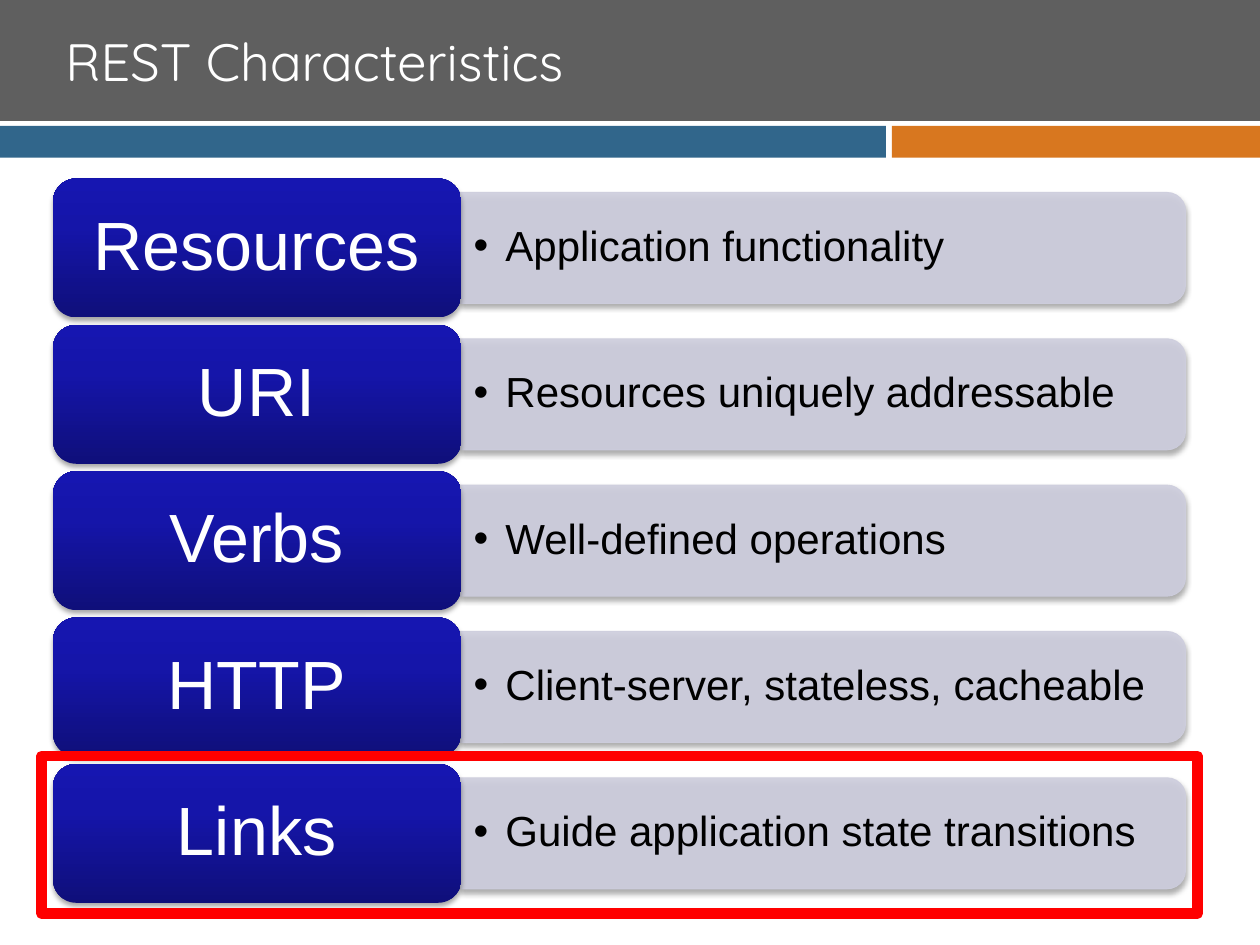
"""Build the slide on the traits of REST."""
from lxml.etree import SubElement
from pptx import Presentation
from pptx.dml.color import RGBColor
from pptx.enum.shapes import MSO_SHAPE
from pptx.enum.text import MSO_ANCHOR, PP_ALIGN
from pptx.oxml import parse_xml
from pptx.oxml.ns import nsdecls, qn
from pptx.util import Cm, Pt

HUES = {
    "head": "5F5F5F", "blue": "31668B", "orange": "D8771F",
    "bar": "CECEDE", "dark": "0F0F7A", "mid": "1515A9", "light": "1616B1",
    "white": "FFFFFF", "black": "000000", "red": "FF0000",
}
ROWS = [
    ("Resources", "Application functionality"),
    ("URI", "Resources uniquely addressable"),
    ("Verbs", "Well-defined operations"),
    ("HTTP", "Client-server, stateless, cacheable"),
    ("Links", "Guide application state transitions"),
]
SHADE = (
    f'<a:outerShdw {nsdecls("a")} blurRad="{Pt(3.1)}" dist="{Pt(2)}" dir="5400000" '
    f'rotWithShape="0"><a:srgbClr val="{HUES["black"]}"><a:alpha val="35000"/>'
    '</a:srgbClr></a:outerShdw>'
)
STOPS = "".join(
    f'<a:gs pos="{spot}000"><a:srgbClr val="{HUES[hue]}"/></a:gs>'
    for spot, hue in [(0, "dark"), (65, "mid"), (100, "light")]
)
BLEND = (
    f'<a:gradFill {nsdecls("a")} rotWithShape="0"><a:gsLst>{STOPS}</a:gsLst>'
    '<a:lin ang="16200000" scaled="0"/></a:gradFill>'
)

deck = Presentation()
deck.slide_width, deck.slide_height = Cm(25.4), Cm(19.05)
slide = deck.slides.add_slide(deck.slide_layouts[6])


def draw(kind, left, top, width, height, hue=None, shade=False):
    shape = slide.shapes.add_shape(kind, Cm(left), Cm(top), Cm(width), Cm(height))
    shape.shadow.inherit = False
    shape.line.fill.background()
    if hue:
        shape.fill.solid()
        shape.fill.fore_color.rgb = RGBColor.from_string(HUES[hue])
    else:
        shape.fill.background()
    if shade:
        shape._element.spPr.find(qn("a:effectLst")).append(parse_xml(SHADE))
    return shape


def write(words, left, top, width, height, size, hue, font="Arial"):
    frame = slide.shapes.add_textbox(Cm(left), Cm(top), Cm(width), Cm(height)).text_frame
    frame.word_wrap = True
    frame.vertical_anchor = MSO_ANCHOR.MIDDLE
    para = frame.paragraphs[0]
    run = para.add_run()
    run.text = words
    run.font.size = Pt(size)
    run.font.name = font
    run.font.color.rgb = RGBColor.from_string(HUES[hue])
    return frame, para, run


draw(MSO_SHAPE.RECTANGLE, 0, 0, 25.4, 2.44, "head")
draw(MSO_SHAPE.RECTANGLE, 17.98, 2.54, 7.42, 0.64, "orange")
draw(MSO_SHAPE.RECTANGLE, 0, 2.54, 17.86, 0.64, "blue")

frame, para, run = write("REST Characteristics", 1.07, 0.2, 23.06, 2.03, 30, "white", "Quicksand")
glow = parse_xml(
    f'<a:effectLst {nsdecls("a")}><a:outerShdw blurRad="38100" dist="38100" dir="2700000">'
    f'<a:srgbClr val="{HUES["black"]}"/></a:outerShdw></a:effectLst>'
)
run._r.rPr.find(qn("a:solidFill")).addnext(glow)

for row, (label, note) in enumerate(ROWS):
    mid = 5 + 2.95 * row

    bar = draw(MSO_SHAPE.ROUND_2_SAME_RECTANGLE, 15.47, mid - 7.31, 2.24, 14.62, "bar", True)
    bar.rotation = 90
    bar.line.color.rgb = RGBColor.from_string(HUES["bar"])
    bar.line.width = Pt(0.5)
    for tint in bar._element.spPr.iter(qn("a:srgbClr")):
        if tint.get("val") == HUES["bar"]:
            SubElement(tint, qn("a:alpha"), val="90000")

    frame, para, run = write(note, 9.3, mid - 1.01, 14.53, 2.02, 24, "black")
    para.line_spacing = 0.9
    para.space_after = Pt(3.6)
    props = para._p.get_or_add_pPr()
    props.set("marL", str(Cm(0.64)))
    props.set("indent", str(-Cm(0.64)))
    SubElement(props, qn("a:buFont"), typeface="Arial")
    SubElement(props, qn("a:buChar"), char="•")

    tile = draw(MSO_SHAPE.ROUNDED_RECTANGLE, 1.07, mid - 1.4, 8.23, 2.8, shade=True)
    spread = tile._element.spPr
    spread.replace(spread.find(qn("a:noFill")), parse_xml(BLEND))

    frame, para, run = write(label, 1.2, mid - 1.27, 7.95, 2.54, 39, "white")
    frame.margin_left = frame.margin_right = Cm(0.4)
    frame.margin_top = frame.margin_bottom = Cm(0.2)
    para.alignment = PP_ALIGN.CENTER
    para.line_spacing = 0.9
    para.space_after = Pt(13.65)

ring = draw(MSO_SHAPE.RECTANGLE, 0.84, 15.24, 23.3, 3.18)
ring.line.color.rgb = RGBColor.from_string(HUES["red"])
ring.line.width = Pt(6)
SubElement(ring.line._ln, qn("a:round"))

deck.save("out.pptx")
